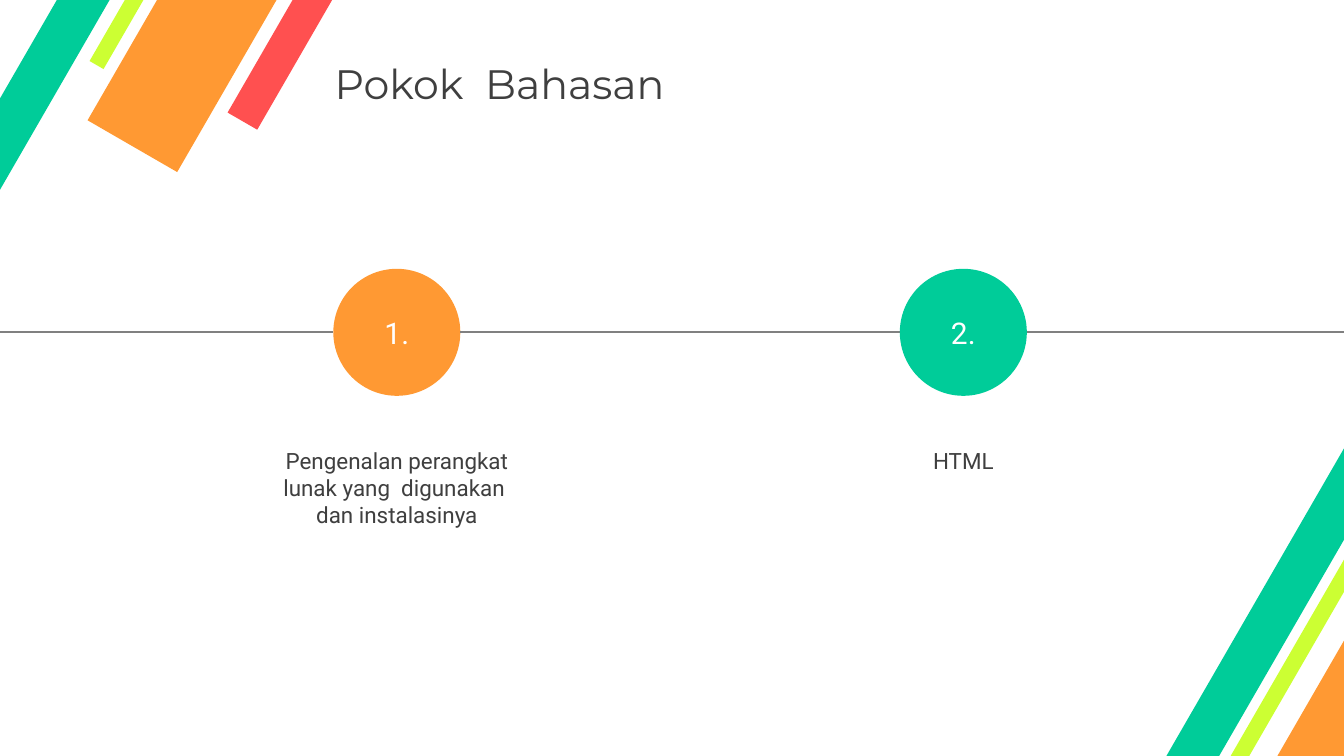
"""Build the topic slide: a timeline with two numbered stops."""
from lxml.etree import SubElement
from pptx import Presentation
from pptx.dml.color import RGBColor
from pptx.enum.shapes import MSO_CONNECTOR as Link, MSO_SHAPE as Shape
from pptx.enum.text import MSO_ANCHOR as Anchor, PP_ALIGN as Align
from pptx.oxml.ns import qn
from pptx.util import Inches, Pt

RED = RGBColor(0xFF, 0x50, 0x50)
ORANGE = RGBColor(0xFF, 0x99, 0x33)
LIME = RGBColor(0xCC, 0xFF, 0x33)
GREEN = RGBColor(0x00, 0xCC, 0x99)
GREY = RGBColor(0x80, 0x80, 0x80)
DARK = RGBColor(0x3F, 0x3F, 0x3F)
WHITE = RGBColor(0xFF, 0xFF, 0xFF)

WIDE, HIGH = 20, 11.25
DISC, DISC_TOP = 1.89, 4
AXIS = DISC_TOP + DISC / 2
TEXT_TOP = 6.61

BANDS = [
    (-1.42, -7.16, 20.11, 0.51, RED),
    (-3.05, -7.29, 20.08, 1.54, ORANGE),
    (-3.59, -7.86, 20.11, 0.24, LIME),
    (-5.83, -5.47, 20.06, 0.68, GREEN),
    (13.68, 3.86, 20.08, 1.54, ORANGE),
    (12.9, 3.33, 20.11, 0.24, LIME),
    (10.71, 5.73, 20.06, 0.68, GREEN),
]
STOPS = [
    (4.96, ORANGE, "1.", 3.85, 1.31,
     "Pengenalan perangkat lunak yang  digunakan  dan instalasinya"),
    (13.39, GREEN, "2.", 2.99, 0.5, "HTML"),
]


def write(shape, text, size=24, font="Roboto", color=DARK,
          align=Align.CENTER, anchor=Anchor.TOP, wrap=True, pad=(0.1, 0.05)):
    """Put formatted text into a shape."""
    frame = shape.text_frame
    frame.word_wrap = wrap
    frame.vertical_anchor = anchor
    frame.margin_left = frame.margin_right = Inches(pad[0])
    frame.margin_top = frame.margin_bottom = Inches(pad[1])
    para = frame.paragraphs[0]
    para.alignment = align
    run = para.add_run()
    run.text = text
    run.font.size = Pt(size)
    run.font.name = font
    run.font.color.rgb = color


def add_box(slide, left, top, width, height):
    """Add an empty text box."""
    return slide.shapes.add_textbox(*map(Inches, (left, top, width, height)))


def add_fill(slide, kind, left, top, width, height, color, turn=0):
    """Add a filled shape without outline or shadow."""
    shape = slide.shapes.add_shape(
        kind, *map(Inches, (left, top, width, height)))
    shape.rotation = turn
    shape.shadow.inherit = False
    shape.fill.solid()
    shape.fill.fore_color.rgb = color
    shape.line.fill.background()
    return shape


def add_line(slide, start, end):
    """Add a stretch of the timeline."""
    line = slide.shapes.add_connector(
        Link.STRAIGHT, *map(Inches, (start, AXIS, end, AXIS)))
    line.line.color.rgb = GREY
    line.line.width = Pt(2.25)
    SubElement(line._element.spPr, qn("a:effectLst"))


def add_stop(slide, left, color, label, width, height, text):
    """Add a numbered disc with its topic centred below."""
    disc = add_fill(slide, Shape.OVAL, left, DISC_TOP, DISC, DISC, color)
    write(disc, label, size=32, color=WHITE, anchor=Anchor.MIDDLE, wrap=False)
    mid = left + DISC / 2
    write(add_box(slide, mid - width / 2, TEXT_TOP, width, height), text)


def main():
    """Build and save the slide."""
    deck = Presentation()
    deck.slide_width, deck.slide_height = Inches(WIDE), Inches(HIGH)
    slide = deck.slides.add_slide(deck.slide_layouts[6])
    for *place, color in BANDS:
        add_fill(slide, Shape.RECTANGLE, *place, color, turn=300)
    write(add_box(slide, 4.8, 0.69, 14.96, 1.08), "Pokok  Bahasan", size=44,
          font="Montserrat", align=Align.LEFT, anchor=Anchor.MIDDLE,
          pad=(0.18, 0.09))
    start = 0
    for stop in STOPS:
        add_line(slide, start, stop[0])
        add_stop(slide, *stop)
        start = stop[0] + DISC
    add_line(slide, start, WIDE)
    deck.save("out.pptx")


main()
